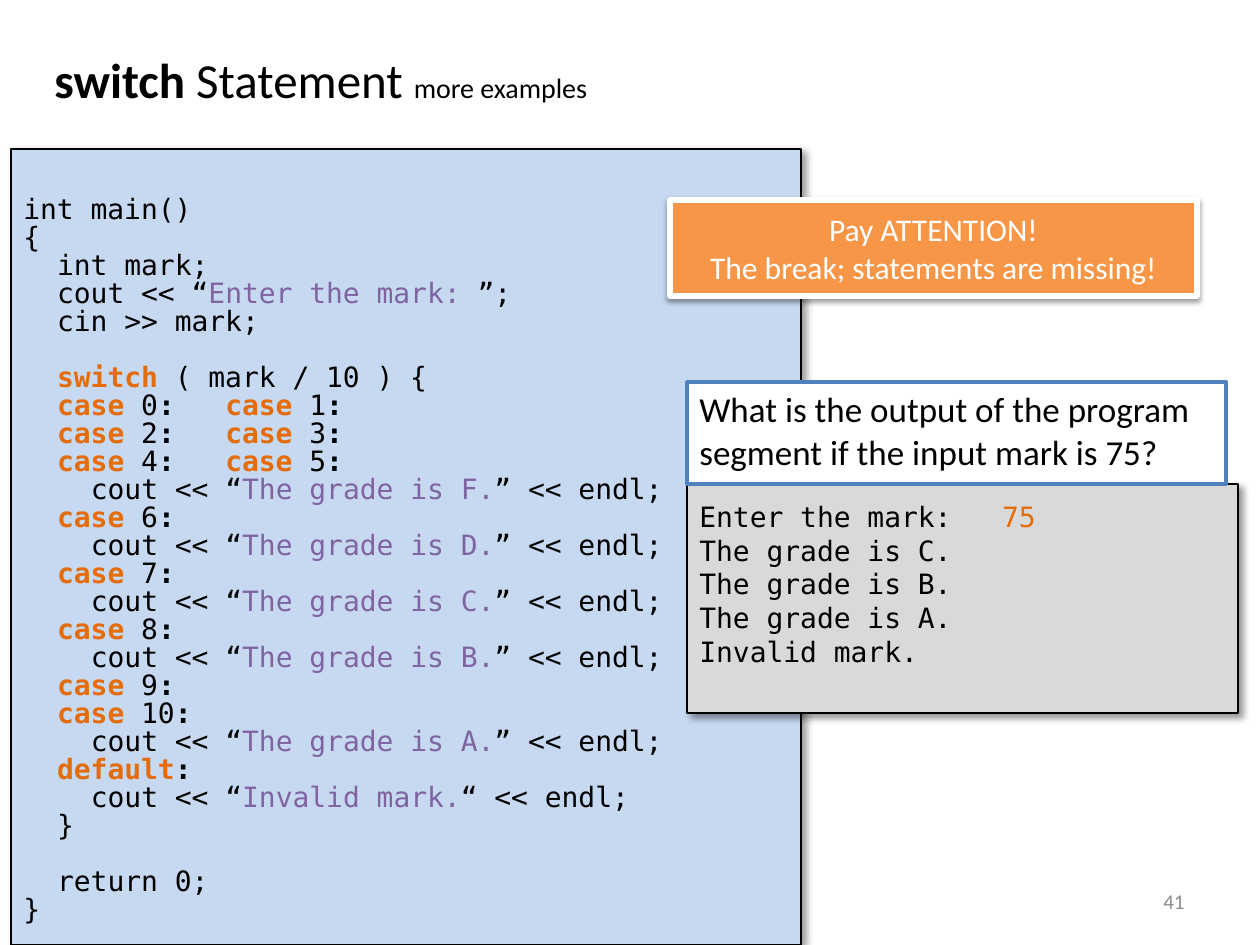
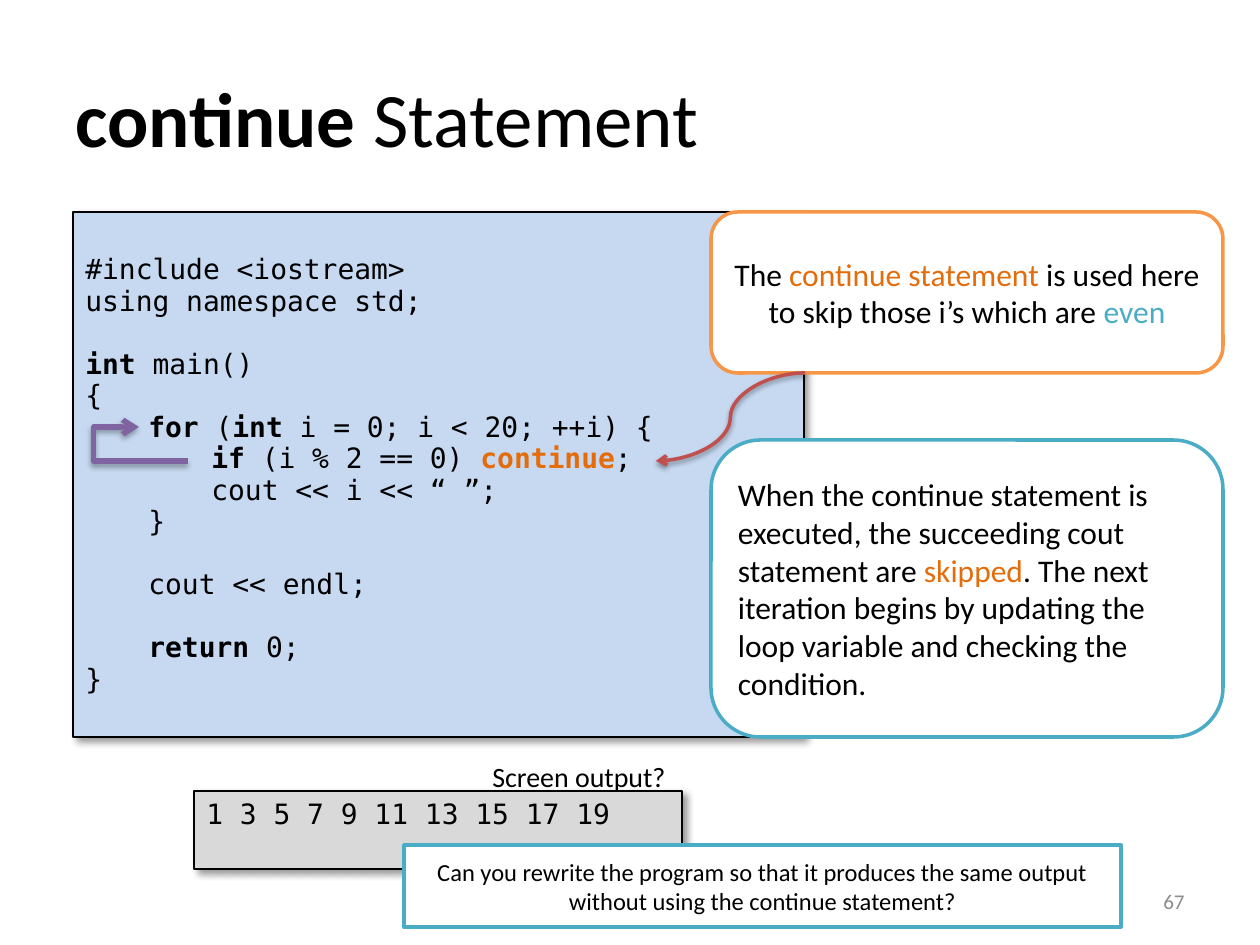
import dataclasses
import typing

import lxml.etree
import pptx
import pptx.dml.color
import pptx.enum.shapes
import pptx.enum.text
import pptx.oxml.ns
import pptx.util

EMU_PER_PIXEL = 914400 / 126
RECTANGLE = pptx.enum.shapes.MSO_SHAPE.RECTANGLE
ROUNDED = pptx.enum.shapes.MSO_SHAPE.ROUNDED_RECTANGLE
MIDDLE = pptx.enum.text.MSO_ANCHOR.MIDDLE
TOP = pptx.enum.text.MSO_ANCHOR.TOP
LEFT = pptx.enum.text.PP_ALIGN.LEFT
CENTER = pptx.enum.text.PP_ALIGN.CENTER
RIGHT = pptx.enum.text.PP_ALIGN.RIGHT


@dataclasses.dataclass(frozen=True)
class Theme:
    body_font: str = "Calibri"
    code_font: str = "DejaVu Sans Mono"
    black: str = "000000"
    white: str = "FFFFFF"
    gray: str = "8C8C8C"
    code_fill: str = "C6D9F1"
    console_fill: str = "D9D9D9"
    blue: str = "4F81BD"
    orange: str = "F79646"
    keyword: str = "E46C0A"
    purple: str = "8064A2"
    aqua: str = "4BACC6"
    red: str = "C0504D"
    title_size: int = 44
    small_title_size: int = 28
    question_size: int = 20
    callout_size: int = 18
    code_size: int = 16
    note_size: int = 14
    number_size: int = 12


THEME = Theme()


class Box(typing.NamedTuple):
    left: int
    top: int
    width: int
    height: int


class Shadow(typing.NamedTuple):
    opacity: int
    blur: float
    distance: float
    angle: int


class RunStyle(typing.NamedTuple):
    color: typing.Optional[str] = None
    bold: bool = False
    size: typing.Optional[int] = None


@dataclasses.dataclass(frozen=True)
class TextStyle:
    size: int
    font: str = THEME.body_font
    color: str = THEME.black
    align: typing.Any = LEFT
    anchor: typing.Any = MIDDLE
    line_points: int = 0      # exact line pitch, 0 for single spacing
    indent_pixels: float = 0  # margin for each leading space
    top_inset: int = 6
    wrap: bool = True


@dataclasses.dataclass(frozen=True)
class Panel:
    box: Box
    lines: typing.Sequence[str]
    style: TextStyle
    fill: typing.Optional[str] = None
    border: str = THEME.black
    border_points: float = 0.75
    shadow: typing.Optional[Shadow] = None
    geometry: typing.Any = RECTANGLE


@dataclasses.dataclass(frozen=True)
class Arrow:
    kind: typing.Any
    start: typing.Tuple[int, int]
    end: typing.Tuple[int, int]
    color: str
    width: float
    shadow: Shadow
    bend: float


PANEL_SHADOW = Shadow(40, 4, 3, 45)
SOFT_SHADOW = Shadow(38, 3.1, 1.6, 90)
CODE = TextStyle(THEME.code_size, THEME.code_font)
CONSOLE = dataclasses.replace(CODE, anchor=TOP)
CALLOUT = TextStyle(THEME.callout_size)

# Marked text alternates plain and styled parts: "plain|<style letter>styled|plain"
RUN_STYLES = {
    "b": RunStyle(bold=True),
    "k": RunStyle(THEME.keyword, bold=True),
    "o": RunStyle(THEME.keyword),
    "s": RunStyle(THEME.purple),
    "a": RunStyle(THEME.aqua),
    "t": RunStyle(size=THEME.code_size),
}


def px(pixels: float) -> int:
    return round(pixels * EMU_PER_PIXEL)


def rgb(color: str) -> pptx.dml.color.RGBColor:
    return pptx.dml.color.RGBColor.from_string(color)


def add_child(parent: typing.Any, tag: str, **attributes: typing.Any) -> typing.Any:
    child = lxml.etree.SubElement(parent, pptx.oxml.ns.qn(tag))
    for name, value in attributes.items():
        child.set(name, str(value))
    return child


def add_shadow(properties: typing.Any, shadow: Shadow) -> None:
    effects = properties.find(pptx.oxml.ns.qn("a:effectLst"))
    if effects is None:
        effects = add_child(properties, "a:effectLst")
    outer = add_child(effects, "a:outerShdw", blurRad=pptx.util.Pt(shadow.blur),
                      dist=pptx.util.Pt(shadow.distance), dir=shadow.angle * 60000,
                      algn="ctr", rotWithShape=0)
    color = add_child(outer, "a:srgbClr", val=THEME.black)
    add_child(color, "a:alpha", val=shadow.opacity * 1000)


def add_runs(paragraph: typing.Any, marked_text: str) -> None:
    for position, part in enumerate(marked_text.split("|")):
        if not part:
            continue
        run = paragraph.add_run()
        if position % 2 == 0:
            run.text = part
            continue
        style = RUN_STYLES[part[0]]
        run.text = part[1:]
        if style.bold:
            run.font.bold = True
        if style.color:
            run.font.color.rgb = rgb(style.color)
        if style.size:
            run.font.size = pptx.util.Pt(style.size)


def write_lines(frame: typing.Any, lines: typing.Sequence[str], style: TextStyle) -> None:
    """Leading spaces become a margin; an empty line becomes space before the next."""
    frame.word_wrap = style.wrap
    frame.vertical_anchor = style.anchor
    frame.margin_left = frame.margin_right = px(12.6)
    frame.margin_top, frame.margin_bottom = px(style.top_inset), px(6)
    paragraph, gap = frame.paragraphs[0], False
    for index, line in enumerate(lines):
        if not line:
            gap = True
            continue
        if index:
            paragraph = frame.add_paragraph()
        paragraph.alignment = style.align
        if style.line_points:
            paragraph.line_spacing = pptx.util.Pt(style.line_points)
            if gap:
                paragraph.space_before = pptx.util.Pt(style.line_points)
        gap = False
        text = line.lstrip(" ")
        indent = len(line) - len(text)
        if indent:
            properties = paragraph._p.get_or_add_pPr()
            properties.set("marL", str(px(indent * style.indent_pixels)))
            properties.set("indent", "0")
        paragraph.font.size = pptx.util.Pt(style.size)
        paragraph.font.name = style.font
        paragraph.font.color.rgb = rgb(style.color)
        add_runs(paragraph, text)


def add_panel(slide: typing.Any, panel: Panel) -> None:
    place = [px(length) for length in panel.box]
    if panel.fill is None:
        shape = slide.shapes.add_textbox(*place)
    else:
        shape = slide.shapes.add_shape(panel.geometry, *place)
        shape.fill.solid()
        shape.fill.fore_color.rgb = rgb(panel.fill)
        shape.line.color.rgb = rgb(panel.border)
        shape.line.width = pptx.util.Pt(panel.border_points)
        shape.shadow.inherit = False
        if panel.shadow:
            add_shadow(shape._element.spPr, panel.shadow)
    write_lines(shape.text_frame, panel.lines, panel.style)


def add_arrow(slide: typing.Any, arrow: Arrow) -> None:
    ends = [px(length) for length in arrow.start + arrow.end]
    connector = slide.shapes.add_connector(arrow.kind, *ends)
    connector.line.color.rgb = rgb(arrow.color)
    connector.line.width = pptx.util.Pt(arrow.width)
    properties = connector._element.spPr
    add_child(properties.find(pptx.oxml.ns.qn("a:ln")), "a:tailEnd", type="arrow")
    guides = properties.find(".//" + pptx.oxml.ns.qn("a:avLst"))
    add_child(guides, "a:gd", name="adj1", fmla=f"val {round(arrow.bend * 100000)}")
    add_shadow(properties, arrow.shadow)


def add_title(slide: typing.Any, left: int, top: int, text: str, size: int) -> None:
    add_panel(slide, Panel(Box(left, top, 1134, 158), [text], TextStyle(size)))


def add_number(slide: typing.Any, number: int) -> None:
    style = TextStyle(THEME.number_size, color=THEME.gray, align=RIGHT)
    add_panel(slide, Panel(Box(903, 876, 294, 50), [str(number)], style))


def case(label: str) -> str:
    return f"|kcase |{label}|b:|"


def grade_line(grade: str) -> str:
    return f"    cout << “|sThe grade is {grade}.|” << endl;"


def build_switch_slide(slide: typing.Any) -> None:
    # Program listing
    pairs = [f"  {case(str(n))}|b   |{case(str(n + 1))}" for n in (0, 2, 4)]
    grades = [line for label, grade in (("6", "D"), ("7", "C"), ("8", "B"))
              for line in ("  " + case(label), grade_line(grade))]
    program = [
        "int main()", "{", "  int mark;",
        "  cout << “|sEnter the mark: |”;", "  cin >> mark;", "",
        "  |kswitch |( mark / 10 ) {", *pairs, grade_line("F"), *grades,
        "  " + case("9"), "  " + case("10"), grade_line("A"),
        "  |kdefault||b:|", "    cout << “|sInvalid mark.|“ << endl;", "  }", "",
        "  return 0;", "}",
    ]
    code = dataclasses.replace(CODE, line_points=16, indent_pixels=16.86, top_inset=34)
    add_panel(slide, Panel(Box(11, 149, 790, 796), program, code,
                           THEME.code_fill, shadow=PANEL_SHADOW))
    # Console and its results
    add_panel(slide, Panel(Box(687, 484, 551, 229), ["Enter the mark:   |o75|"],
                           dataclasses.replace(CONSOLE, top_inset=16),
                           THEME.console_fill, shadow=PANEL_SHADOW))
    results = [f"The grade is {grade}." for grade in "CBA"] + ["Invalid mark."]
    add_panel(slide, Panel(Box(687, 539, 551, 123), results, CODE))
    add_number(slide, 41)
    # Question, title and warning
    add_panel(slide, Panel(
        Box(687, 382, 539, 102),
        ["What is the output of the program segment if the input mark is 75?"],
        TextStyle(THEME.question_size, anchor=TOP), THEME.white, THEME.blue, 2))
    add_title(slide, 42, 0, "|bswitch| Statement |tmore examples|", THEME.small_title_size)
    add_panel(slide, Panel(
        Box(670, 200, 527, 96), ["Pay ATTENTION!", "The break; statements are missing!"],
        dataclasses.replace(CALLOUT, color=THEME.white, align=CENTER),
        THEME.orange, THEME.white, 3, SOFT_SHADOW))


def build_continue_slide(slide: typing.Any) -> None:
    add_title(slide, 63, 38, "|bcontinue| Statement", THEME.title_size)
    # Program listing
    program = [
        "#include <iostream>", "using namespace std;", "", "|bint| main()", "{",
        "    |bfor| (|bint |i = 0; i < 20; ++i) {",
        "        |bif| (i % 2 == 0) |kcontinue|;",
        "        cout << i << “ ”;", "    }", "", "    cout << endl;", "",
        "    |breturn| 0;", "}",
    ]
    code = dataclasses.replace(CODE, line_points=18, indent_pixels=15.75)
    add_panel(slide, Panel(Box(73, 212, 731, 525), program, code,
                           THEME.code_fill, shadow=PANEL_SHADOW))
    # Explanations
    add_panel(slide, Panel(
        Box(711, 212, 512, 161),
        ["The |ocontinue statement |is used here to skip those i’s which are |aeven|"],
        dataclasses.replace(CALLOUT, align=CENTER),
        THEME.white, THEME.orange, 2, geometry=ROUNDED))
    add_panel(slide, Panel(
        Box(711, 440, 512, 297),
        ["When the continue statement is executed, the succeeding cout statement are "
         "|oskipped|. The next iteration begins by updating the loop variable and "
         "checking the condition."],
        CALLOUT, THEME.white, THEME.aqua, 2, geometry=ROUNDED))
    # Arrows to the skipped statement and back to the loop head
    connector = pptx.enum.shapes.MSO_CONNECTOR
    add_arrow(slide, Arrow(connector.CURVE, (805, 373), (656, 461), THEME.red, 2,
                           SOFT_SHADOW, 0.5))
    add_number(slide, 67)
    add_arrow(slide, Arrow(connector.ELBOW, (188, 461), (139, 427), THEME.purple, 3,
                           Shadow(35, 3.1, 1.8, 90), 1.92))
    # Console and exercise
    add_panel(slide, Panel(Box(194, 791, 488, 78), ["1 3 5 7 9 11 13 15 17 19"], CONSOLE,
                           THEME.console_fill, shadow=PANEL_SHADOW))
    add_panel(slide, Panel(Box(480, 753, 222, 43), ["Screen output?"],
                           TextStyle(THEME.code_size, anchor=TOP, wrap=False)))
    add_panel(slide, Panel(
        Box(404, 845, 717, 82),
        ["Can you rewrite the program so that it produces the same output "
         "without using the continue statement?"],
        TextStyle(THEME.note_size, align=CENTER), THEME.white, THEME.aqua, 2))


presentation = pptx.Presentation()
presentation.slide_width, presentation.slide_height = px(1260), px(945)
for build in (build_switch_slide, build_continue_slide):
    build(presentation.slides.add_slide(presentation.slide_layouts[6]))
presentation.save("out.pptx")
